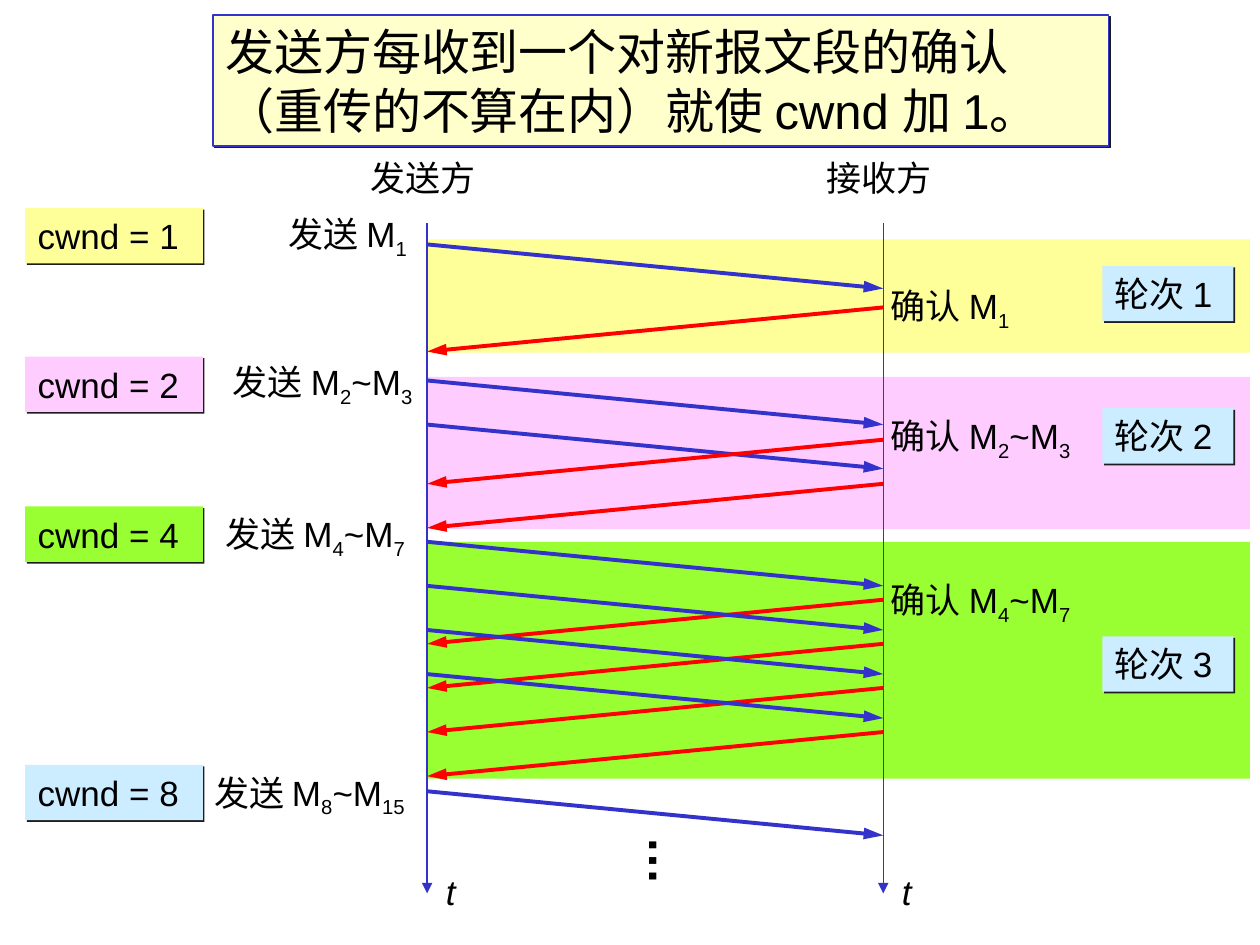
from dataclasses import dataclass
from pptx import Presentation
from pptx.dml.color import RGBColor
from pptx.enum.shapes import MSO_CONNECTOR, MSO_SHAPE
from pptx.enum.text import MSO_ANCHOR, MSO_AUTO_SIZE, PP_ALIGN
from pptx.oxml import parse_xml
from pptx.oxml.ns import nsdecls
from pptx.util import Inches, Pt


@dataclass(frozen=True)
class Theme:
    font: str = "Arial"
    ink: str = "000000"
    blue: str = "3333CC"
    red: str = "FF0000"
    shade: str = "1C1C1C"
    cream: str = "FFFFCC"
    yellow: str = "FFFF99"
    pink: str = "FFCCFF"
    green: str = "99FF33"
    sky: str = "CCECFF"
    body: int = 20
    title: int = 28
    thin: float = 0.74
    thick: float = 2.24


class Painter:
    def __init__(self, page, theme):
        self.page, self.theme = page, theme

    def fill_text(self, shape, lines, size, bold=False, italic=False, grow=True, wrap=False):
        """Write lines; parts between bars alternate normal and subscript."""
        frame = shape.text_frame
        frame.word_wrap = wrap
        frame.auto_size = MSO_AUTO_SIZE.SHAPE_TO_FIT_TEXT if grow else MSO_AUTO_SIZE.NONE
        frame.vertical_anchor = MSO_ANCHOR.TOP if grow else MSO_ANCHOR.MIDDLE
        for number, line in enumerate(lines):
            para = frame.add_paragraph() if number else frame.paragraphs[0]
            para.alignment = PP_ALIGN.LEFT
            for index, part in enumerate(line.split("|")):
                if not part:
                    continue
                span = para.add_run()
                span.text = part
                font = span.font
                font.name, font.size = self.theme.font, Pt(size)
                font.bold, font.italic = bold, italic
                font.color.rgb = RGBColor.from_string(self.theme.ink)
                if index % 2:
                    span._r.get_or_add_rPr().set("baseline", "-25000")

    def label(self, left, top, width, height, text, size=None, **style):
        box = self.page.shapes.add_textbox(
            Inches(left), Inches(top), Inches(width), Inches(height))
        self.fill_text(box, [text], size or self.theme.body, wrap=True, **style)
        return box

    def band(self, left, top, width, height, color):
        shape = self.page.shapes.add_shape(
            MSO_SHAPE.RECTANGLE, Inches(left), Inches(top), Inches(width), Inches(height))
        shape.shadow.inherit = False
        shape.fill.solid()
        shape.fill.fore_color.rgb = RGBColor.from_string(color)
        shape.line.fill.background()
        return shape

    def card(self, left, top, width, height, color, lines, size=None, border=None, grow=True):
        shape = self.band(left, top, width, height, color)
        if border:
            shape.line.color.rgb = RGBColor.from_string(border)
            shape.line.width = Pt(self.theme.thin)
        self.fill_text(shape, lines, size or self.theme.body, grow=grow)
        # Hard offset shadow
        effects = shape._element.spPr.find(".//{*}effectLst")
        effects.append(parse_xml(
            f'<a:outerShdw {nsdecls("a")} blurRad="0" dist="{Pt(1.4)}" dir="2700000" '
            f'algn="ctr" rotWithShape="0"><a:srgbClr val="{self.theme.shade}"/></a:outerShdw>'))

    def arrow(self, x1, y1, x2, y2, color, width, head="med"):
        line = self.page.shapes.add_connector(
            MSO_CONNECTOR.STRAIGHT, Inches(x1), Inches(y1), Inches(x2), Inches(y2))
        line.line.color.rgb = RGBColor.from_string(color)
        line.line.width = Pt(width)
        line.line._get_or_add_ln().append(
            parse_xml(f'<a:tailEnd {nsdecls("a")} type="triangle" w="med" len="{head}"/>'))
        line._element.spPr.append(parse_xml(f'<a:effectLst {nsdecls("a")}/>'))


theme = Theme()
deck = Presentation()
deck.slide_width, deck.slide_height = Inches(10), Inches(7.5)
page = deck.slides.add_slide(deck.slide_layouts[6])
painter = Painter(page, theme)

SENDER, RECEIVER = 3.39, 7.01
STEP = 0.35  # fall of one arrow and gap between neighbours


def arrows(start, end, top, count, color):
    for index in range(count):
        y = top + index * STEP
        painter.arrow(start, y, end, y + STEP, color, theme.thick, head="lg")


# Coloured bands, one per round
for top, height, color in [(1.9, 0.9, theme.yellow), (2.99, 1.21, theme.pink),
                           (4.3, 1.88, theme.green)]:
    painter.band(SENDER, top, 6.53, height, color)

# Time axes with their names
for x, name in [(SENDER, "发送方"), (RECEIVER, "接收方")]:
    painter.label(x - 0.55, 1.19, 1.15, 0.44, name)
    painter.arrow(x, 1.77, x, 7.09, theme.blue, theme.thin)
    painter.label(x + 0.05, 6.86, 0.3, 0.43, "t", italic=True)

# Segments and acknowledgements
for top, count in [(1.94, 1), (3.02, 2)]:
    arrows(SENDER, RECEIVER, top, count, theme.blue)
for top, count in [(2.44, 1), (3.49, 2), (4.76, 4)]:
    arrows(RECEIVER, SENDER, top, count, theme.red)
for top, count in [(4.3, 4), (6.28, 1)]:
    arrows(SENDER, RECEIVER, top, count, theme.blue)

# Labels beside the axes
for left, top, width, segments in [(2.19, 1.64, 1.35, "M|1"), (1.75, 2.81, 1.85, "M|2|~M|3"),
                                   (1.69, 4.02, 1.85, "M|4|~M|7"),
                                   (1.6, 6.07, 1.95, "M|8|~M|15")]:
    painter.label(left, top, width, 0.48, f"发送 {segments}")
for top, width, segments in [(2.21, 1.4, "M|1"), (3.24, 1.9, "M|2|~M|3 "),
                             (4.54, 1.9, "M|4|~M|7 ")]:
    painter.label(6.91, top, width, 0.48, f" 确认 {segments}")

# Window sizes, doubling each round
window_cards = [(1.65, theme.yellow), (2.83, theme.pink), (4.02, theme.green), (6.07, theme.sky)]
for power, (top, color) in enumerate(window_cards):
    painter.card(0.2, top, 1.41, 0.44, color, [f"cwnd = {2 ** power} "], grow=False)

# Round numbers
for number, top in enumerate([2.11, 3.24, 5.05], start=1):
    painter.card(8.75, top, 1.04, 0.44, theme.sky, [f"轮次 {number}"])

# Continuation dots
dots = painter.label(5.01, 6.55, 0.59, 0.57, "…", theme.title, bold=True)
dots.rotation = 90

# Title
painter.card(1.69, 0.12, 7.11, 1.04, theme.cream,
             ["发送方每收到一个对新报文段的确认", "（重传的不算在内）就使 cwnd 加 1。 "],
             theme.title, border=theme.blue)

deck.save("out.pptx")
